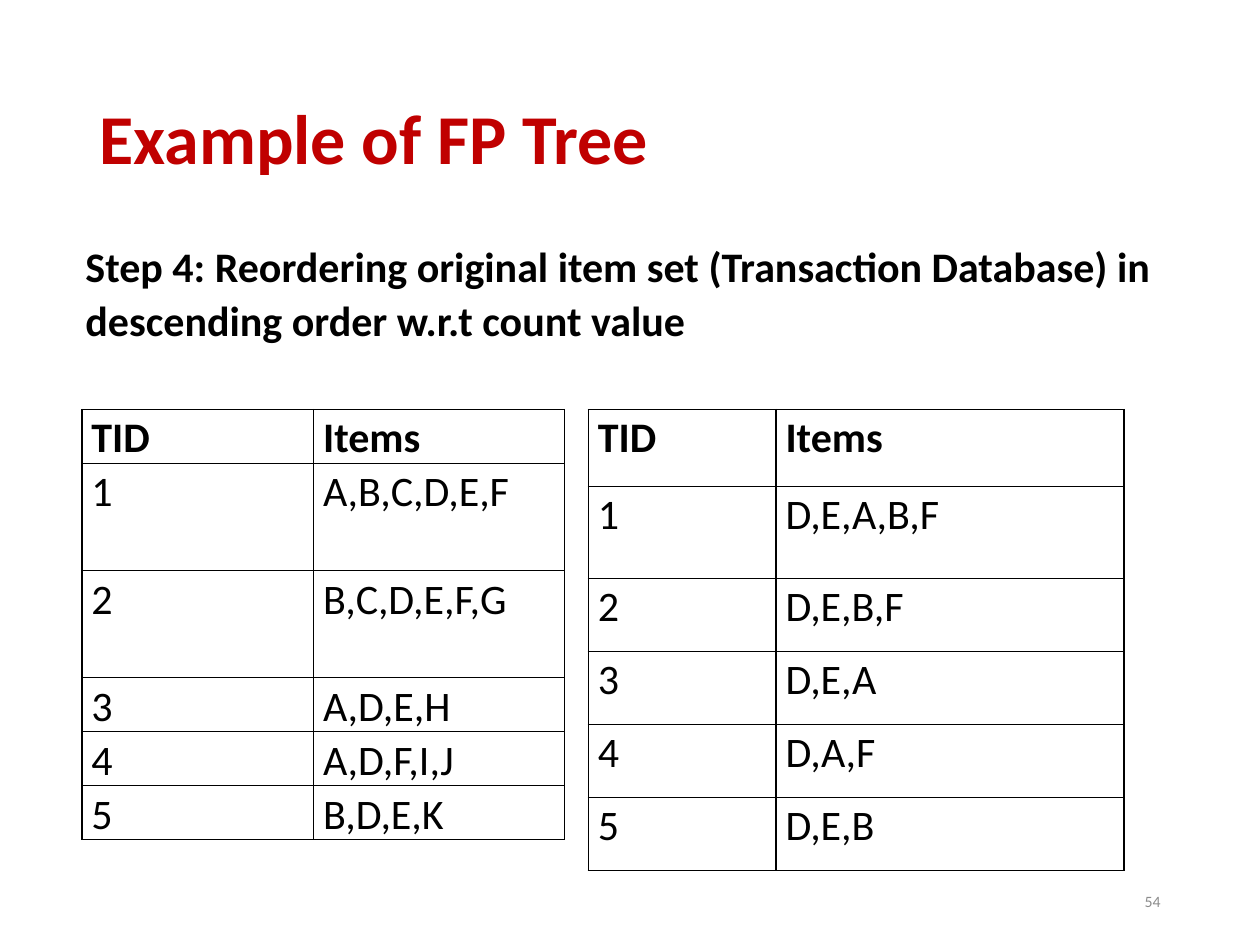
from lxml.etree import SubElement
from pptx import Presentation
from pptx.dml.color import RGBColor
from pptx.enum.text import MSO_ANCHOR as Anchor, PP_ALIGN as Align
from pptx.oxml import parse_xml
from pptx.oxml.ns import nsdecls, qn
from pptx.util import Inches, Pt

RED = RGBColor(0xC0, 0x00, 0x00)
BLACK = RGBColor(0x00, 0x00, 0x00)
GRAY = RGBColor(0x8C, 0x8C, 0x8C)

COLUMNS, ROWS = 100, 75  # square grid cells over the whole slide


class SlideBuilder:
    font = "Calibri"
    body_size = 24
    line_spacing = 1.07

    def __init__(self, deck):
        self.deck = deck
        self.page = deck.slides.add_slide(deck.slide_layouts[5])

    def across(self, columns):
        return round(self.deck.slide_width * columns / COLUMNS)

    def down(self, rows):
        return round(self.deck.slide_height * rows / ROWS)

    def area(self, left, top, width, height):
        return self.across(left), self.down(top), self.across(width), self.down(height)

    def add_line(self, frame, text, size=body_size, color=BLACK, bold=False,
                 align=Align.LEFT, spacing=line_spacing, after=0):
        para = frame.paragraphs[0]
        para.alignment = align
        para.line_spacing = spacing
        para.space_before, para.space_after = Pt(0), Pt(after)
        span = para.add_run()
        span.text = text
        span.font.name, span.font.size = self.font, Pt(size)
        span.font.bold, span.font.color.rgb = bold, color

    def title(self, text, place):
        box = self.page.shapes.title
        box.left, box.top, box.width, box.height = self.area(*place)
        box.text_frame.vertical_anchor = Anchor.MIDDLE
        self.add_line(box.text_frame, text, 40, RED, bold=True, spacing=0.9)

    def text(self, text, place, anchor=Anchor.TOP, **style):
        frame = self.page.shapes.add_textbox(*self.area(*place)).text_frame
        frame.word_wrap = True
        frame.vertical_anchor = anchor
        self.add_line(frame, text, **style)

    def border(self, cell):
        properties = cell._tc.get_or_add_tcPr()
        for index, side in enumerate(("lnL", "lnR", "lnT", "lnB")):
            line = parse_xml(f'<a:{side} {nsdecls("a")} w="{Pt(1)}"/>')
            fill = SubElement(line, qn("a:solidFill"))
            SubElement(fill, qn("a:srgbClr"), val=str(BLACK))
            properties.insert(index, line)

    def table(self, left, top, widths, heights, records):
        place = self.area(left, top, sum(widths), sum(heights))
        table = self.page.shapes.add_table(len(heights), len(widths), *place).table
        table.horz_banding = False
        for column, width in zip(table.columns, widths):
            column.width = self.across(width)
        for row, height in zip(table.rows, heights):
            row.height = self.down(height)
        for row_index, record in enumerate(records):
            for column_index, value in enumerate(record):
                cell = table.cell(row_index, column_index)
                cell.margin_left = cell.margin_right = self.across(0.75)
                cell.margin_top = cell.margin_bottom = 0
                cell.fill.background()
                self.border(cell)
                self.add_line(cell.text_frame, value, bold=row_index == 0)


def transactions(item_sets):
    numbered = [(str(tid), items) for tid, items in enumerate(item_sets, 1)]
    return [("TID", "Items")] + numbered


def main():
    deck = Presentation()
    deck.slide_width, deck.slide_height = Inches(10), Inches(7.5)
    slide = SlideBuilder(deck)

    # Heading and step description
    slide.title("Example of FP Tree", (6.9, 4, 86.2, 14.5))
    slide.text("Step 4: Reordering original item set (Transaction Database) in "
               "descending order w.r.t count value",
               (5.8, 18.3, 90.8, 9.7), bold=True, after=8)

    # Original transactions, then the same ones reordered by count
    table_top = 32.5
    slide.table(6.5, table_top, [18.4, 19.9], [4.1] + [8.5] * 2 + [4.1] * 3,
                transactions(["A,B,C,D,E,F", "B,C,D,E,F,G", "A,D,E,H",
                              "A,D,F,I,J", "B,D,E,K"]))
    slide.table(46.7, table_top, [14.9, 27.6], [6.1, 7.3] + [5.8] * 4,
                transactions(["D,E,A,B,F", "D,E,B,F", "D,E,A", "D,A,F", "D,E,B"]))

    # Page number
    slide.text("54", (70.6, 69.5, 22.5, 4), anchor=Anchor.MIDDLE,
               size=9, color=GRAY, align=Align.RIGHT, spacing=1.0)

    deck.save("out.pptx")


if __name__ == "__main__":
    main()
